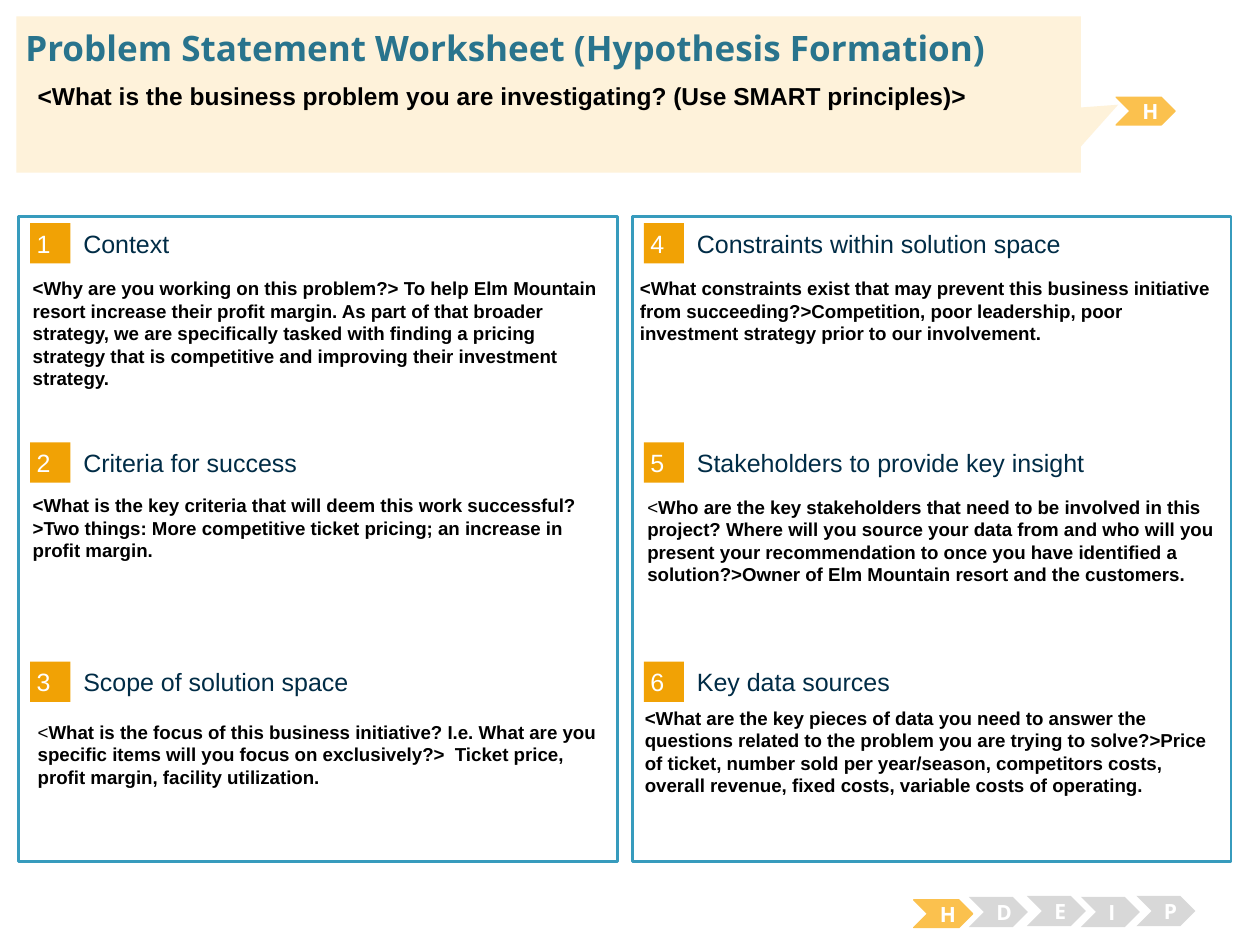
from pptx import Presentation
from pptx.dml.color import RGBColor
from pptx.enum.shapes import MSO_SHAPE
from pptx.enum.text import MSO_ANCHOR, MSO_AUTO_SIZE, PP_ALIGN
from pptx.util import Cm, Pt

RECTANGLE, CHEVRON = MSO_SHAPE.RECTANGLE, MSO_SHAPE.CHEVRON
CALLOUT = MSO_SHAPE.RECTANGULAR_CALLOUT
TOP, MIDDLE = MSO_ANCHOR.TOP, MSO_ANCHOR.MIDDLE
LEFT, CENTER = PP_ALIGN.LEFT, PP_ALIGN.CENTER
NO_AUTOFIT = MSO_AUTO_SIZE.NONE

WHITE = RGBColor(0xFF, 0xFF, 0xFF)
BLACK = RGBColor(0x00, 0x00, 0x00)
NAVY = RGBColor(0x00, 0x2C, 0x46)
TEAL = RGBColor(0x29, 0x74, 0x8D)
BLUE = RGBColor(0x37, 0x9B, 0xBD)
ORANGE = RGBColor(0xF1, 0xA2, 0x05)
AMBER = RGBColor(0xFB, 0xC1, 0x4E)
CREAM = RGBColor(0xFE, 0xF2, 0xDA)
GRAY = RGBColor(0xD8, 0xD8, 0xD8)

COLUMN_STEP, ROW_STEP = 12.37, 4.42
ROWS = 3


def add_block(kind, left, top, width, height, fill, line=None, weight=0.75):
    block = page.shapes.add_shape(kind, Cm(left), Cm(top), Cm(width), Cm(height))
    block.shadow.inherit = False
    block.fill.solid()
    block.fill.fore_color.rgb = fill
    if line is None:
        block.line.fill.background()
    else:
        block.line.color.rgb = line
        block.line.width = Pt(weight)
    return block


def write(box, text, size, color, bold=False, font="Arial", anchor=TOP,
          align=LEFT, insets=(0.25, 0.13)):
    frame = box.text_frame
    frame.word_wrap = True
    frame.auto_size = NO_AUTOFIT
    frame.vertical_anchor = anchor
    frame.margin_left = frame.margin_right = Cm(insets[0])
    frame.margin_top = frame.margin_bottom = Cm(insets[1])
    frame.text = text
    para = frame.paragraphs[0]
    para.alignment = align
    span = para.runs[0]
    span.font.name = font
    span.font.size = Pt(size)
    span.font.bold = bold
    span.font.color.rgb = color
    return para


deck = Presentation()
deck.slide_width, deck.slide_height = Cm(25.4), Cm(19.05)
page = deck.slides.add_slide(deck.slide_layouts[5])

for column in range(2):
    add_block(RECTANGLE, 0.38 + column * COLUMN_STEP, 4.37, 12.07, 13, WHITE, BLUE, 1.5)

headings = [
    "Context", "Criteria for success", "Scope of solution space",
    "Constraints within solution space", "Stakeholders to provide key insight",
    "Key data sources",
]
for index, heading in enumerate(headings):
    column, row = divmod(index, ROWS)
    shift, top = column * COLUMN_STEP, 4.5 + row * ROW_STEP
    badge = add_block(RECTANGLE, 0.61 + shift, top, 0.81, 0.81, ORANGE)
    write(badge, str(index + 1), 14.3, WHITE, anchor=MIDDLE, insets=(0.13, 0.13))
    box = page.shapes.add_textbox(Cm(1.68 + shift), Cm(top + 0.08), Cm(9.98), Cm(0.64))
    write(box, heading, 14.3, NAVY, anchor=MIDDLE, insets=(0, 0))

answers = [
    (0.41, 5.46, 3.45, "", "<Why are you working on this problem?> To help Elm Mountain resort increase their profit margin. As part of that broader strategy, we are specifically tasked with finding a pricing strategy that is competitive and improving their investment strategy."),
    (0.41, 9.83, 3.91, "", "<What is the key criteria that will deem this work successful?>Two things: More competitive ticket pricing; an increase in profit margin."),
    (0.51, 14.4, 2.08, "<", "What is the focus of this business initiative? I.e. What are you specific items will you focus on exclusively?>  Ticket price, profit margin, facility utilization."),
    (12.65, 5.46, 3, "", "<What constraints exist that may prevent this business initiative from succeeding?>Competition, poor leadership, poor investment strategy prior to our involvement."),
    (12.8, 9.86, 3, "<", "Who are the key stakeholders that need to be involved in this project? Where will you source your data from and who will you present your recommendation to once you have identified a solution?>Owner of Elm Mountain resort and the customers."),
    (12.75, 14.12, 3, "", "<What are the key pieces of data you need to answer the questions related to the problem you are trying to solve?>Price of ticket, number sold per year/season, competitors costs, overall revenue, fixed costs, variable costs of operating."),
]
for left, top, height, opening, answer in answers:
    box = page.shapes.add_textbox(Cm(left), Cm(top), Cm(12.01), Cm(height))
    para = write(box, opening or answer, 10.7, BLACK, bold=not opening)
    if opening:
        span = para.add_run()
        span.text = answer
        span.font.name = "Arial"
        span.font.size = Pt(10.7)
        span.font.bold = True
        span.font.color.rgb = BLACK

stages = [
    ("H", 18.42, 18.14, 0.56, AMBER, AMBER),
    ("D", 19.53, 18.08, 0.61, GRAY, None),
    ("E", 20.7, 18.06, 0.61, GRAY, None),
    ("I", 21.79, 18.08, 0.61, GRAY, None),
    ("P", 22.91, 18.06, 0.61, GRAY, None),
    ("H", 22.5, 1.96, 0.56, AMBER, AMBER),
]
for letter, left, top, height, fill, line in stages:
    stage = add_block(CHEVRON, left, top, 1.19, height, fill, line)
    write(stage, letter, 12, WHITE, True, "Open Sans", MIDDLE, CENTER)

callout = add_block(CALLOUT, 0.33, 0.33, 21.46, 3.15, CREAM)
callout.adjustments[0] = 0.535
callout.adjustments[1] = 0.066

title = page.shapes.title
title.left, title.top, title.width, title.height = Cm(0.51), Cm(0.53), Cm(24.43), Cm(0.86)
write(title, "Problem Statement Worksheet (Hypothesis Formation)", 20, TEAL, True,
      "Open Sans", MIDDLE, insets=(0, 0))
callout.element.addnext(title.element)

question = page.shapes.add_textbox(Cm(0.51), Cm(1.5), Cm(23.85), Cm(1.37))
write(question, "<What is the business problem you are investigating? (Use SMART principles)>",
      14, BLACK, True)

deck.save("out.pptx")
